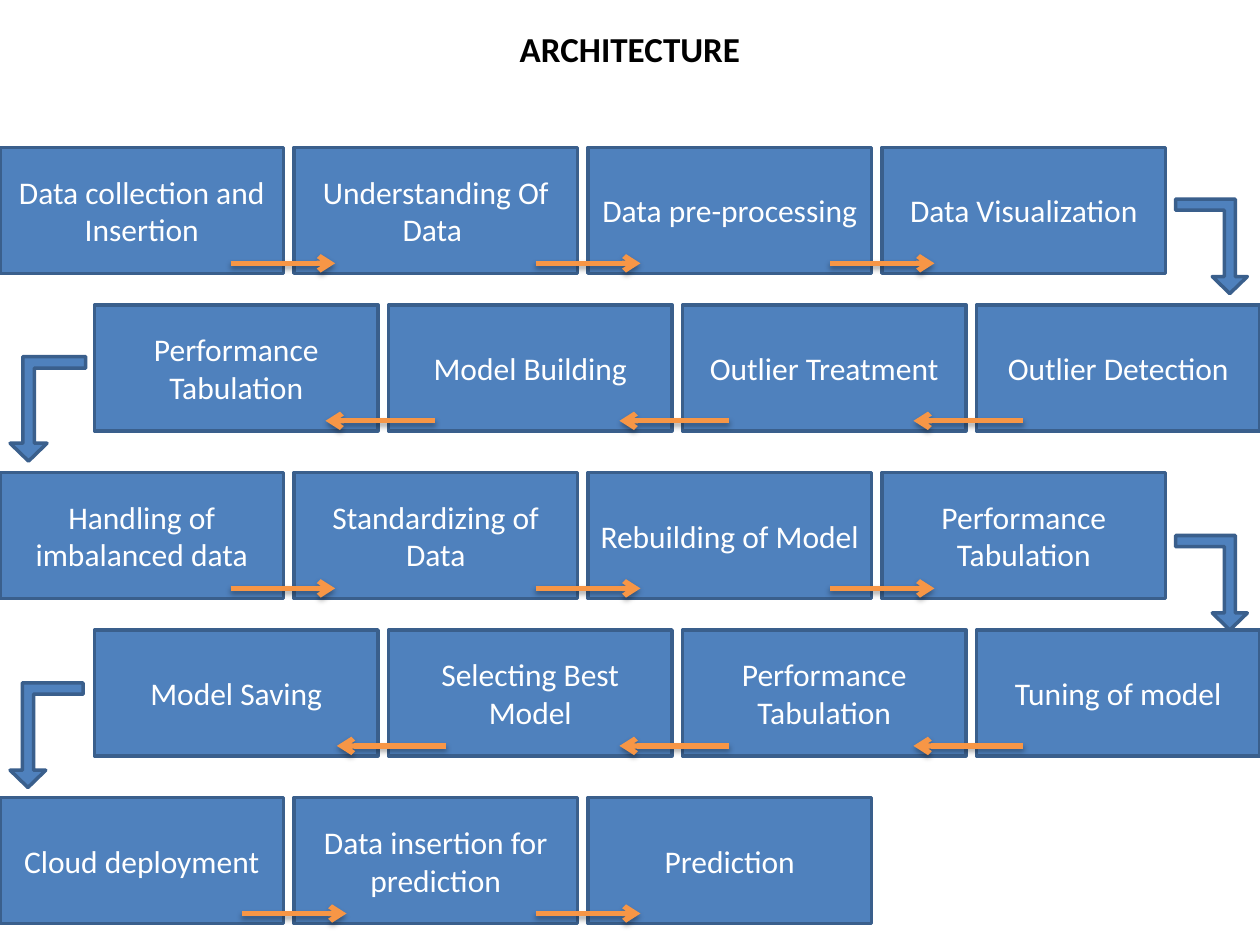
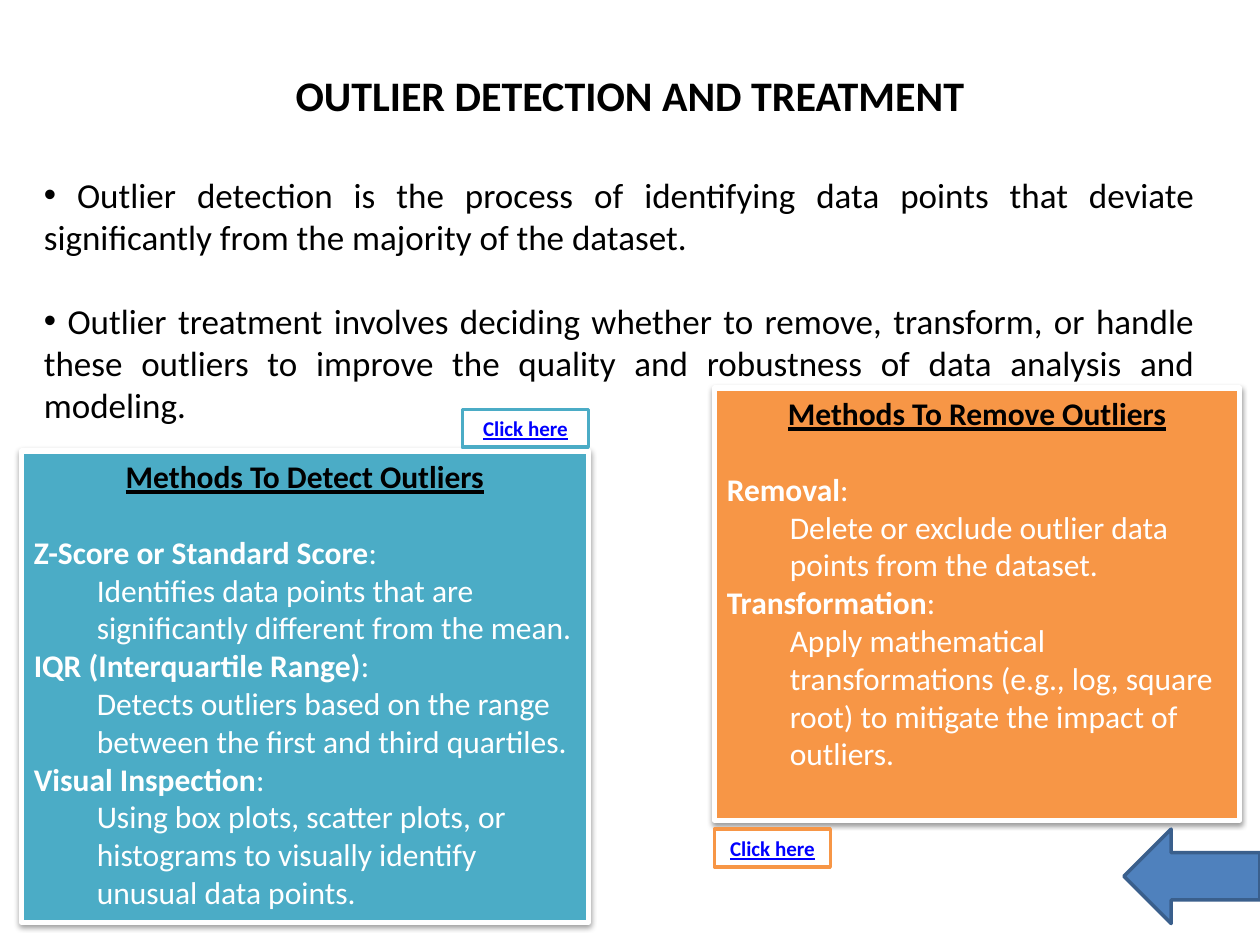
"""Build two slides on a model pipeline and on outlier methods."""
from dataclasses import dataclass

import lxml.etree
import pptx
import pptx.dml.color
import pptx.enum.shapes
import pptx.enum.text
import pptx.oxml.ns
import pptx.util

Inches = pptx.util.Inches
Pt = pptx.util.Pt
Kind = pptx.enum.shapes.MSO_SHAPE
Align = pptx.enum.text.PP_ALIGN
Anchor = pptx.enum.text.MSO_ANCHOR

FONT = "Calibri"
HUES = {"blue": "4F81BD", "edge": "3A5F8C", "teal": "4BACC6", "gold": "F79646",
        "white": "FFFFFF", "black": "000000", "link": "0000FF"}


@dataclass(frozen=True)
class Box:
    left: float
    top: float
    wide: float
    high: float


@dataclass(frozen=True)
class Look:
    size: float = 18
    hue: str = "white"
    bold: bool = False
    under: bool = False


@dataclass(frozen=True)
class Row:
    top: float
    steps: tuple[str, ...]
    starts: tuple[float, ...]
    back: bool = False


@dataclass(frozen=True)
class Card:
    box: Box
    hue: str
    head: str
    items: tuple[tuple[str, str], ...]
    link: Box


@dataclass(frozen=True)
class Bend:
    box: Box
    flip: bool


STEP = Box(0, 0, 2.25, 1)
PITCH = 7 / 3
ROWS = (
    Row(1.17, ("Data collection and Insertion", "Understanding Of Data ",
               "Data pre-processing", "Data Visualization"), (1.83, 1.92, 1.92)),
    Row(2.42, ("Outlier Detection", "Outlier Treatment", "Model Building",
               "Performance Tabulation"), (0.37, 0.37, 0.37), True),
    Row(3.75, ("Handling of imbalanced data", "Standardizing of Data",
               "Rebuilding of Model", "Performance Tabulation"), (1.83, 1.92, 1.92)),
    Row(5, ("Tuning of model", "Performance Tabulation", "Selecting Best Model",
            "Model Saving"), (0.37, 0.37, 0.46), True),
    Row(6.33, ("Cloud deployment", "Data insertion for prediction",
               "Prediction"), (1.92, 1.92)),
)
BENDS = (
    Bend(Box(9.33, 1.58, 0.57, 0.75), True),
    Bend(Box(0.08, 2.83, 0.6, 0.83), False),
    Bend(Box(9.33, 4.25, 0.57, 0.75), True),
    Bend(Box(0.08, 5.42, 0.58, 0.83), False),
)
POINTS = (
    " Outlier detection is the process of identifying data points that deviate "
    "significantly from the majority of the dataset. ",
    " Outlier treatment involves deciding whether to remove, transform, or handle "
    "these outliers to improve the quality and robustness of data analysis and modeling.",
)
CARDS = (
    Card(Box(0.17, 3.58, 4.5, 3.74), "teal", "Methods To Detect Outliers", (
        ("Z-Score or Standard Score",
         "Identifies data points that are significantly different from the mean."),
        ("IQR (Interquartile Range)",
         "Detects outliers based on the range between the first and third quartiles."),
        ("Visual Inspection",
         "Using box plots, scatter plots, or histograms to visually identify "
         "unusual data points."),
    ), Box(3.67, 3.25, 1, 0.3)),
    Card(Box(5.67, 3.08, 4.17, 3.43), "gold", "Methods To Remove Outliers", (
        ("Removal", "Delete or exclude outlier data points from the dataset."),
        ("Transformation",
         "Apply mathematical transformations (e.g., log, square root) to mitigate "
         "the impact of outliers."),
    ), Box(5.67, 6.58, 0.92, 0.3)),
)


def tint(name: str) -> pptx.dml.color.RGBColor:
    return pptx.dml.color.RGBColor.from_string(HUES[name])


def node(base, tag: str, **attrs):
    return lxml.etree.SubElement(base, pptx.oxml.ns.qn(tag), attrs)


def place(box: Box) -> tuple:
    return tuple(Inches(n) for n in (box.left, box.top, box.wide, box.high))


def shade(shape, alpha: int, gap: float) -> None:
    props = shape._element.spPr
    for old in props.findall(pptx.oxml.ns.qn("a:effectLst")):
        props.remove(old)
    cast = node(node(props, "a:effectLst"), "a:outerShdw", blurRad=str(Pt(3.1)),
                dist=str(Pt(gap)), dir="5400000", rotWithShape="0")
    node(node(cast, "a:srgbClr", val=HUES["black"]), "a:alpha", val=str(alpha * 1000))


def write(para, text: str, look: Look) -> None:
    run = para.add_run()
    run.text = text
    font = run.font
    font.name, font.size = FONT, Pt(look.size)
    font.bold, font.underline = look.bold, look.under
    font.color.rgb = tint(look.hue)


def draw(slide, kind, box: Box, fill: str = "blue", edge: str = "edge", width: float = 2):
    shape = slide.shapes.add_shape(kind, *place(box))
    shape.shadow.inherit = False
    shape.fill.solid()
    shape.fill.fore_color.rgb = tint(fill)
    shape.line.color.rgb = tint(edge)
    shape.line.width = Pt(width)
    return shape


def label(shape, text: str, look: Look) -> None:
    frame = shape.text_frame
    frame.word_wrap = True
    para = frame.paragraphs[0]
    para.alignment = Align.CENTER
    write(para, text, look)


def title(slide, text: str, top: float, size: float) -> None:
    box = slide.shapes.add_textbox(*place(Box(0, top, 10, 0.5)))
    label(box, text, Look(size, "black", True))


def arrow(slide, left: float, top: float, reach: float) -> None:
    ends = (Inches(n) for n in (left, top, left + reach, top))
    line = slide.shapes.add_connector(pptx.enum.shapes.MSO_CONNECTOR.STRAIGHT, *ends)
    line.line.color.rgb = tint("gold")
    line.line.width = Pt(3)
    node(line.line._get_or_add_ln(), "a:tailEnd", type="arrow")
    shade(line, 35, 1.8)


def bend(slide, part: Bend) -> None:
    shape = draw(slide, Kind.BENT_UP_ARROW, part.box)
    for spot, ratio in enumerate((0.153, 0.244, 0.237)):
        shape.adjustments[spot] = ratio
    shape.rotation = 180
    if part.flip:
        shape._element.spPr.find(pptx.oxml.ns.qn("a:xfrm")).set("flipH", "1")


def left_of(row: Row, spot: int) -> float:
    return 7.75 - spot * PITCH if row.back else spot * PITCH


def flow(slide) -> None:
    for row in ROWS:
        for spot, text in enumerate(row.steps):
            box = Box(left_of(row, spot), row.top, STEP.wide, STEP.high)
            label(draw(slide, Kind.RECTANGLE, box), text, Look())
    title(slide, "ARCHITECTURE", 0.17, 20)
    for part in BENDS:
        bend(slide, part)
    for row in ROWS:
        for spot, start in enumerate(row.starts):
            arrow(slide, left_of(row, spot) + start, row.top + 0.92,
                  -0.87 if row.back else 0.83)


def points(slide) -> None:
    frame = slide.shapes.add_textbox(*place(Box(0.25, 1.33, 9.33, 2.42))).text_frame
    frame.word_wrap = True
    for spot, text in enumerate(POINTS):
        para = frame.add_paragraph() if spot else frame.paragraphs[0]
        para.alignment = Align.JUSTIFY
        para.space_before = Pt(24 if spot else 0)
        props = para._p.get_or_add_pPr()
        node(props, "a:buFont", typeface="Arial")
        node(props, "a:buChar", char="•")
        write(para, text, Look(20, "black"))


def panel(slide, card: Card) -> None:
    shape = draw(slide, Kind.RECTANGLE, card.box, card.hue, "white", 3)
    shade(shape, 38, 1.6)
    label(shape, card.head, Look(18, "black", True, True))
    frame = shape.text_frame
    frame.vertical_anchor = Anchor.TOP
    frame.paragraphs[0].space_after = Pt(21.6)
    for name, note in card.items:
        para = frame.add_paragraph()
        para.alignment = Align.LEFT
        write(para, name, Look(bold=True))
        write(para, ":", Look())
        para = frame.add_paragraph()
        para.alignment = Align.LEFT
        para.level = 1
        props = para._p.get_or_add_pPr()
        props.set("marL", str(Inches(0.5)))
        props.set("indent", "0")
        write(para, note, Look())


def methods(slide) -> None:
    title(slide, "OUTLIER DETECTION AND TREATMENT", 0.5, 24)
    points(slide)
    for card in CARDS:
        panel(slide, card)
    draw(slide, Kind.LEFT_ARROW, Box(8.92, 6.58, 1.08, 0.75))
    for card in CARDS:
        label(draw(slide, Kind.RECTANGLE, card.link, "white", card.hue),
              "Click here", Look(12, "link", True, True))


def main() -> None:
    deck = pptx.Presentation()
    deck.slide_width, deck.slide_height = Inches(10), Inches(7.5)
    for build in (flow, methods):
        build(deck.slides.add_slide(deck.slide_layouts[6]))
    deck.save("out.pptx")


if __name__ == "__main__":
    main()
